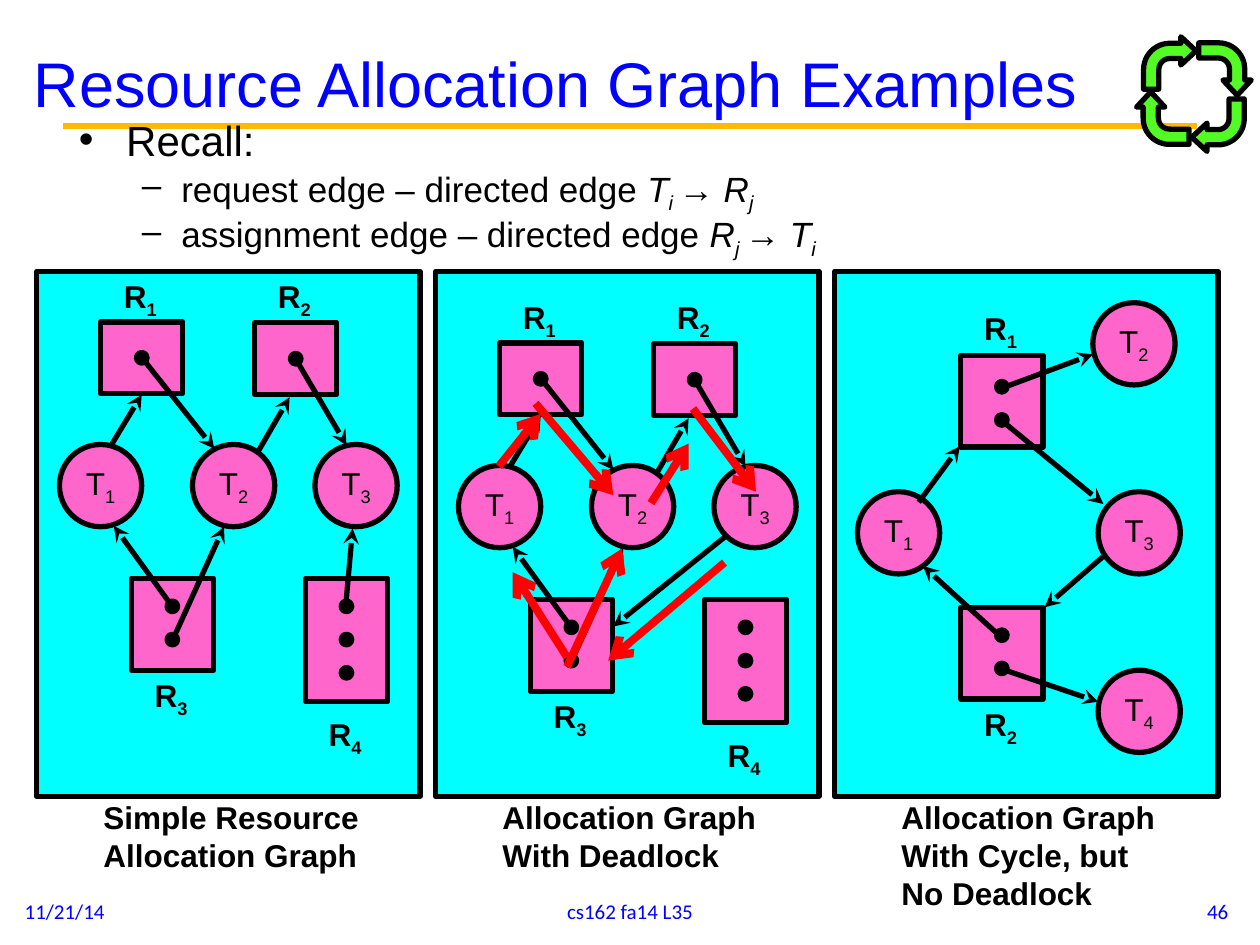
import dataclasses
import pptx
import pptx.util
import pptx.dml.color
import pptx.enum.shapes
import pptx.enum.text
import pptx.oxml.ns
from lxml import etree

Pt = pptx.util.Pt
Kind = pptx.enum.shapes.MSO_SHAPE
Align = pptx.enum.text.PP_ALIGN
Anchor = pptx.enum.text.MSO_ANCHOR
qn = pptx.oxml.ns.qn


@dataclasses.dataclass(frozen=True)
class Theme:
    """Colours, fonts and type sizes of the deck."""
    blue: str = "0000FF"
    gold: str = "FBBA03"
    cyan: str = "00FFFF"
    pink: str = "FF66CC"
    green: str = "53FB25"
    red: str = "FF0000"
    black: str = "000000"
    font: str = "Arial"
    small: str = "Calibri"
    head: int = 36
    lead: int = 24
    item: int = 20
    label: int = 18
    foot: int = 12


look = Theme()
NODE, GAP, LABEL = 47, 19, 34.5


def rgb(code):
    """Turn a hex code into a colour."""
    return pptx.dml.color.RGBColor.from_string(code)


def write(para, parts, size, color=look.black, face=look.font, bold=False):
    """Add runs given as (text, marks): i is italic, s is subscript."""
    for text, marks in parts:
        run = para.add_run()
        run.text = text
        font = run.font
        font.size, font.name, font.bold = Pt(size), face, bold
        font.italic = "i" in marks
        font.color.rgb = rgb(color)
        if "s" in marks:
            run._r.get_or_add_rPr().set("baseline", "-25000")


def frame(slide, x, y, w, h, wrap=False):
    """Add a text box and return its text frame."""
    body = slide.shapes.add_textbox(Pt(x), Pt(y), Pt(w), Pt(h)).text_frame
    body.word_wrap = wrap
    return body


def block(slide, kind, x, y, w, h, fill):
    """Add a filled shape with a black outline."""
    shape = slide.shapes.add_shape(kind, Pt(x), Pt(y), Pt(w), Pt(h))
    shape.shadow.inherit = False
    shape.fill.solid()
    shape.fill.fore_color.rgb = rgb(fill)
    shape.line.color.rgb = rgb(look.black)
    shape.line.width = Pt(3)
    return shape


def edge(slide, x, y, ends, color=look.black, width=3, tip="stealth"):
    """Draw a line between two points relative to x, y."""
    a, b, c, d = ends
    line = slide.shapes.add_connector(
        pptx.enum.shapes.MSO_CONNECTOR.STRAIGHT,
        Pt(x + a), Pt(y + b), Pt(x + c), Pt(y + d))
    line.line.color.rgb = rgb(color)
    line.line.width = Pt(width)
    if tip:
        etree.SubElement(line.line._get_or_add_ln(), qn("a:tailEnd"), type=tip)
    etree.SubElement(line._element.spPr, qn("a:effectLst"))


def thread(slide, x, y, num):
    """Draw the circle of one thread."""
    body = block(slide, Kind.OVAL, x, y, NODE, NODE, look.pink).text_frame
    body.word_wrap = False
    body.vertical_anchor = Anchor.MIDDLE
    body.paragraphs[0].alignment = Align.CENTER
    write(body.paragraphs[0], [("T", ""), (num, "s")], look.label)


def store(slide, x, y, num, high, dots, first, tag):
    """Draw the box of one resource, its dots and its label at offset tag."""
    block(slide, Kind.RECTANGLE, x, y, NODE, high, look.pink)
    for i in range(dots):
        block(slide, Kind.OVAL, x + NODE / 2 - 3, y + first + GAP * i - 3,
              6, 6, look.black)
    body = frame(slide, x + (NODE - LABEL) / 2, y + tag, LABEL, 29)
    write(body.paragraphs[0], [("R", ""), (num, "s")], look.label, bold=True)


def panel(slide, x, y, drop, threads, stores, edges, lines):
    """Draw one graph, its content lowered by drop, with a caption below."""
    block(slide, Kind.RECTANGLE, x, y, 219, 300, look.cyan)
    for num, (a, b) in enumerate(threads, 1):
        thread(slide, x + a, y + drop + b, str(num))
    for num, (a, b, *rest) in enumerate(stores, 1):
        store(slide, x + a, y + drop + b, str(num), *rest)
    for ends in edges:
        edge(slide, x, y + drop, ends)
    body = frame(slide, x + 31, y + 297.5, 162, 22 * len(lines) + 7)
    for i, text in enumerate(lines):
        para = body.add_paragraph() if i else body.paragraphs[0]
        write(para, [(text, "")], look.label, bold=True)


def header(slide, x, y, w, h):
    """Place the title and the rule under it."""
    title = slide.shapes.title
    title.left, title.top, title.width, title.height = map(Pt, (x, y, w, h))
    body = title.text_frame
    body.auto_size = pptx.enum.text.MSO_AUTO_SIZE.NONE
    body.vertical_anchor = Anchor.MIDDLE
    para = body.paragraphs[0]
    para.alignment = Align.LEFT
    write(para, [("Resource Allocation Graph Examples", "")], look.head, look.blue)
    edge(slide, x, y, (24, 45.5, 672, 45.5), look.gold, 3.75, None)


def recall(slide, x, y, w, h):
    """Write the bulleted reminder of both kinds of edge."""
    rows = [
        ("•", 27, 27, look.lead, [("Recall:", "")]),
        ("–", 58.5, 22.5, look.item,
         [("request edge – directed edge ", ""), ("T", "i"), ("i ", "is"),
          ("→ ", ""), ("R", "i"), ("j", "is")]),
        ("–", 58.5, 22.5, look.item,
         [("assignment edge – directed edge ", ""), ("R", "i"), ("j ", "is"),
          ("→ ", ""), ("T", "i"), ("i", "is")]),
    ]
    body = frame(slide, x, y, w, h, True)
    for i, (mark, left, hang, size, parts) in enumerate(rows):
        para = body.add_paragraph() if i else body.paragraphs[0]
        para.line_spacing = 0.8
        para.space_before = Pt(size / 5)
        prop = para._p.get_or_add_pPr()
        prop.set("marL", str(Pt(left)))
        prop.set("indent", str(-Pt(hang)))
        etree.SubElement(prop, qn("a:buFont"), typeface=look.font)
        etree.SubElement(prop, qn("a:buChar"), char=mark)
        write(para, parts, size)


def cycle(slide, x, y):
    """Draw four bent arrows that chase each other."""
    spots = [(4, 0), (35.5, 3.5), (31.5, 35.5), (0, 31.5)]
    for i, (a, b) in enumerate(spots):
        arrow = block(slide, Kind.BENT_ARROW, x + a, y + b, 30, 30, look.green)
        arrow.rotation = 90 * i
        for j, value in enumerate((0.29, 0.27, 0.29, 0.5)):
            arrow.adjustments[j] = value


def footer(slide, y):
    """Write date, course and page number along the bottom."""
    for x, w, side, text in [(7, 168, Align.LEFT, "11/21/14"),
                             (246, 228, Align.CENTER, "cs162 fa14 L35"),
                             (541, 168, Align.RIGHT, "46")]:
        body = frame(slide, x, y, w, 29, True)
        body.vertical_anchor = Anchor.MIDDLE
        body.paragraphs[0].alignment = side
        write(body.paragraphs[0], [(text, "")], look.foot, look.blue, look.small)


def graphs(slide, x, y, step):
    """Place the three graphs side by side."""
    trio = [(13, 99), (89, 99), (159, 99)]
    quad = [(36.5, 29, 41, 1, 20.5, -29), (124.5, 29.5, 41, 1, 20.5, -29.5),
            (54, 175.5, 52.5, 2, 16, 52.5), (153.5, 175.5, 70.5, 3, 16, 74.5)]
    shared = [(42.5, 99.5, 60, 70.5), (61, 50.5, 101.5, 101.5),
              (126.5, 103, 144.5, 72), (148.5, 51, 177, 99.5),
              (77, 191, 44, 145.5), (78, 210, 107, 146)]
    panel(slide, x, y, 0, trio, quad, shared + [(176.5, 192, 180.5, 147)],
          ["Simple Resource", "Allocation Graph"])
    panel(slide, x + step, y, 12, trio, quad, shared + [(165, 140, 101.5, 191)],
          ["Allocation Graph", "With Deadlock"])
    panel(slide, x + 2 * step, y, 0,
          [(13, 126), (147.5, 18), (150.5, 126), (150.5, 228)],
          [(72, 48, 52.5, 2, 18, -30), (72, 192, 52.5, 2, 16, 52.5)],
          [(48, 132, 71.5, 100), (95, 209, 50.5, 168.5),
           (94.5, 227, 150.5, 246), (154, 162.5, 120, 192),
           (95, 85, 153.5, 133), (95, 67, 147.5, 47.5)],
          ["Allocation Graph", "With Cycle, but", "No Deadlock"])
    for ends in [(75, 226, 106.5, 158.5), (123, 132.5, 144.5, 98.5),
                 (147, 78.5, 183, 126), (165, 166.5, 98.5, 222.5),
                 (36, 111.5, 60, 81.5), (75, 220.5, 44, 172),
                 (57, 75.5, 101.5, 128)]:
        edge(slide, x + step, y, ends, look.red, 4.5, "arrow")


def main():
    """Build the slide and save it."""
    deck = pptx.Presentation()
    deck.slide_width, deck.slide_height = Pt(720), Pt(540)
    slide = deck.slides.add_slide(deck.slide_layouts[5])
    header(slide, 12, 26.5, 651, 40.5)
    graphs(slide, 21, 155, 228)
    recall(slide, 38, 67.5, 630, 102)
    cycle(slide, 649.5, 21)
    footer(slide, 506)
    deck.save("out.pptx")


if __name__ == "__main__":
    main()
